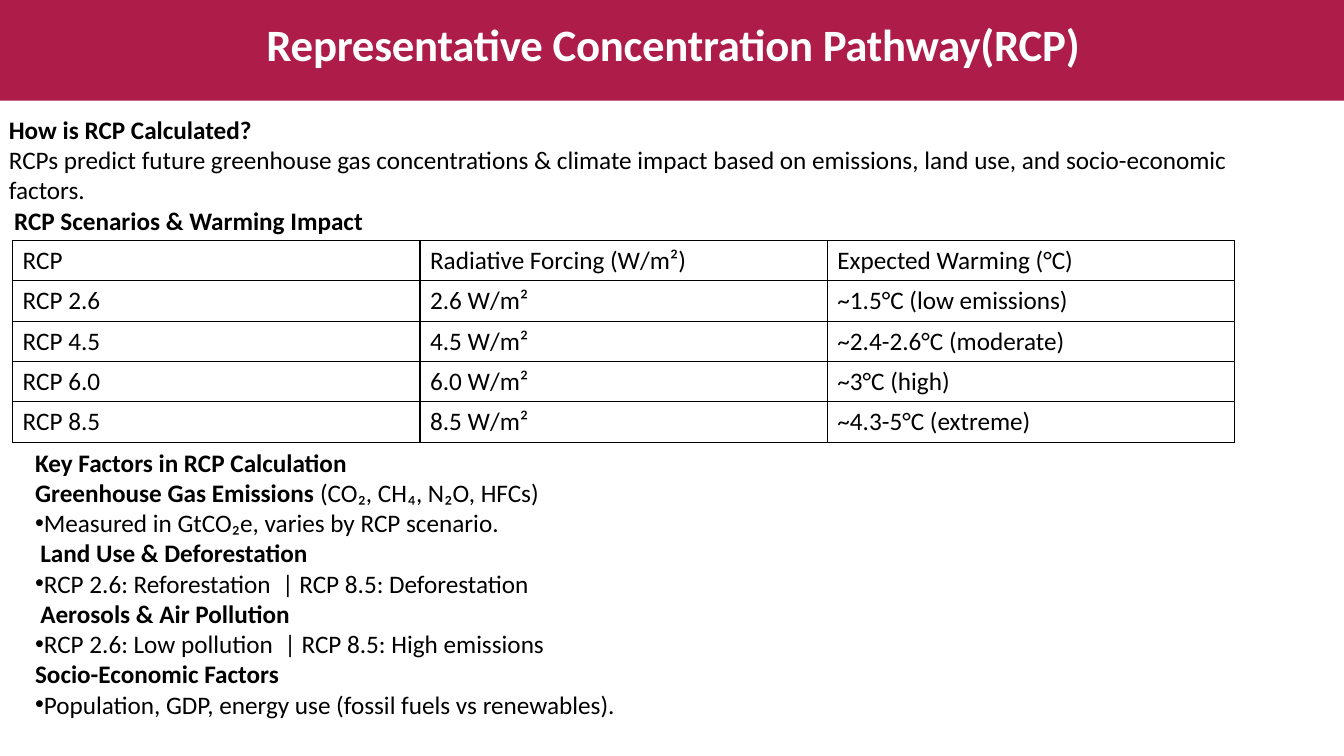
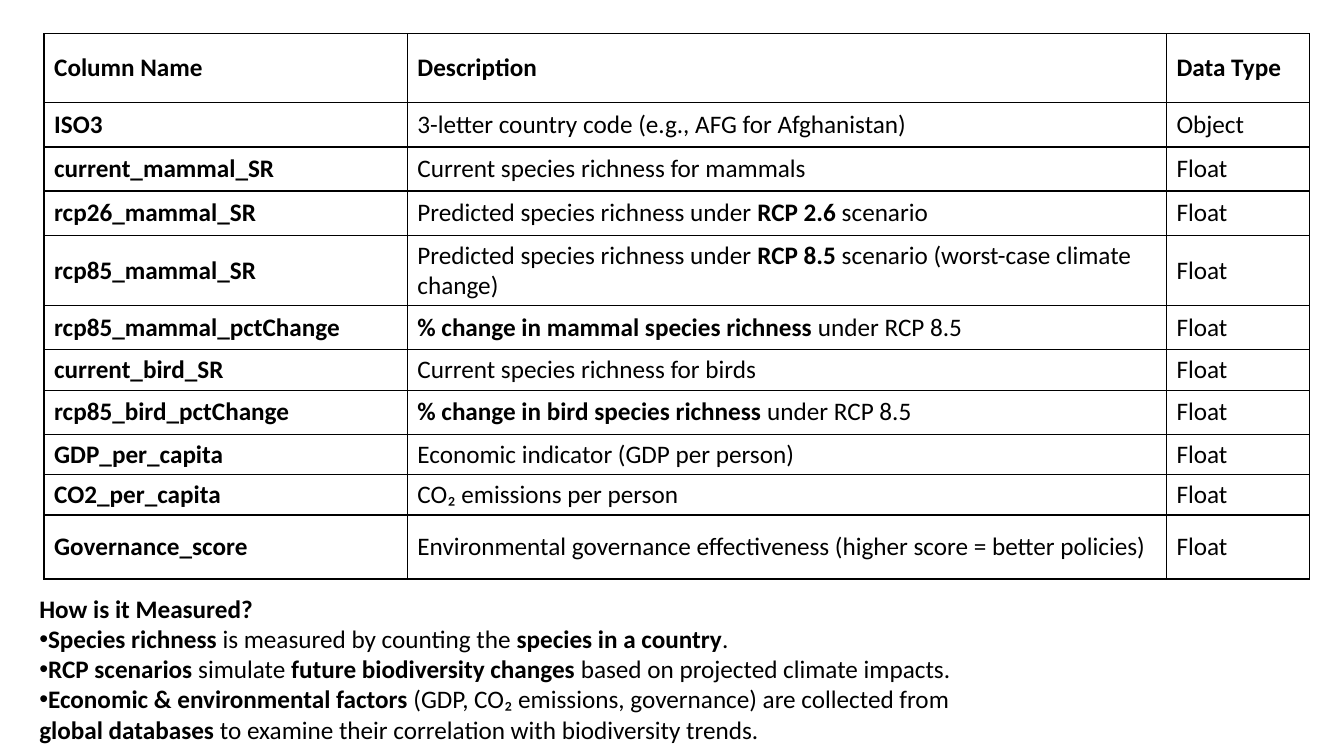
from lxml import etree
from pptx import Presentation
from pptx.dml.color import RGBColor
from pptx.enum import shapes, text
from pptx.oxml import ns
from pptx.util import Pt

PX = 9525
CRIMSON = RGBColor(0xAE, 0x1D, 0x49)
BLACK = RGBColor(0x00, 0x00, 0x00)
WHITE = RGBColor(0xFF, 0xFF, 0xFF)
FONT = "Calibri"
BULLET, INDENTED = "• ", "> "

INTRO = [
    "**How is RCP Calculated?**",
    "RCPs predict future greenhouse gas concentrations & climate impact based on "
    "emissions, land use, and socio-economic factors.",
    "> **RCP Scenarios & Warming Impact**",
]
SCENARIOS = [
    ("RCP", "Radiative Forcing (W/m²)", "Expected Warming (°C)"),
    ("RCP 2.6", "2.6 W/m²", "~1.5°C (low emissions)"),
    ("RCP 4.5", "4.5 W/m²", "~2.4-2.6°C (moderate)"),
    ("RCP 6.0", "6.0 W/m²", "~3°C (high)"),
    ("RCP 8.5", "8.5 W/m²", "~4.3-5°C (extreme)"),
]
KEY_FACTORS = [
    "**Key Factors in RCP Calculation**",
    "**Greenhouse Gas Emissions** (CO₂, CH₄, N₂O, HFCs)",
    "• Measured in GtCO₂e, varies by RCP scenario.",
    "> **Land Use & Deforestation**",
    "• RCP 2.6: Reforestation  | RCP 8.5: Deforestation",
    "> **Aerosols & Air Pollution**",
    "• RCP 2.6: Low pollution  | RCP 8.5: High emissions",
    "**Socio-Economic Factors**",
    "• Population, GDP, energy use (fossil fuels vs renewables).",
]
COLUMNS = [
    ("**Column Name**", "**Description**", "**Data Type**"),
    ("**ISO3**", "3-letter country code (e.g., AFG for Afghanistan)", "Object"),
    ("**current_mammal_SR**", "Current species richness for mammals", "Float"),
    ("**rcp26_mammal_SR**",
     "Predicted species richness under **RCP 2.6** scenario", "Float"),
    ("**rcp85_mammal_SR**",
     "Predicted species richness under **RCP 8.5** scenario (worst-case climate change)",
     "Float"),
    ("**rcp85_mammal_pctChange**",
     "**% change in mammal species richness** under RCP 8.5", "Float"),
    ("**current_bird_SR**", "Current species richness for birds", "Float"),
    ("**rcp85_bird_pctChange**",
     "**% change in bird species richness** under RCP 8.5", "Float"),
    ("**GDP_per_capita**", "Economic indicator (GDP per person)", "Float"),
    ("**CO2_per_capita**", "CO₂ emissions per person", "Float"),
    ("**Governance_score**",
     "Environmental governance effectiveness (higher score = better policies)", "Float"),
]
MEASUREMENT = [
    "**How is it Measured?**",
    "• **Species richness** is measured by counting the **species in a country**.",
    "• **RCP scenarios** simulate **future biodiversity changes** based on projected "
    "climate impacts.",
    "• **Economic & environmental factors** (GDP, CO₂ emissions, governance) are "
    "collected from **global databases** to examine their correlation with "
    "biodiversity trends.",
]


def px(*lengths):
    """Turn pixel lengths into EMU."""
    return [length * PX for length in lengths]


def set_layout(paragraph, indent, bullet):
    """Set the left indent and the bullet of a paragraph."""
    properties = paragraph._p.get_or_add_pPr()
    properties.set("marL", str(indent * PX))
    properties.set("indent", "0")
    if bullet:
        etree.SubElement(properties, ns.qn("a:buFont"), typeface="Arial")
        etree.SubElement(properties, ns.qn("a:buChar"), char="•")
    else:
        etree.SubElement(properties, ns.qn("a:buNone"))


def set_font(paragraph, size, color):
    """Set the font that all runs of a paragraph share."""
    paragraph.font.name = FONT
    paragraph.font.size = Pt(size)
    paragraph.font.color.rgb = color


def write(paragraph, markup):
    """Write one line of text, with bold parts between double asterisks."""
    bullet, indented = markup.startswith(BULLET), markup.startswith(INDENTED)
    set_layout(paragraph, 5 if indented else 0, bullet)
    set_font(paragraph, 18, BLACK)
    line = markup[2:] if bullet or indented else markup
    parts = [(part, i % 2 == 1) for i, part in enumerate(line.split("**")) if part]
    for part, bold in parts:
        run = paragraph.add_run()
        run.text = part
        if len(parts) > 1:
            run.font.bold = bold
    if len(parts) == 1:
        paragraph.font.bold = parts[0][1]


def add_lines(slide, box, lines):
    """Add a wrapped text box with one paragraph for each line."""
    frame = slide.shapes.add_textbox(*px(*box)).text_frame
    frame.word_wrap = True
    for i, line in enumerate(lines):
        write(frame.add_paragraph() if i else frame.paragraphs[0], line)


def add_title_band(slide, title):
    """Add the coloured band with its centred title."""
    band = slide.shapes.add_shape(shapes.MSO_SHAPE.RECTANGLE, *px(0, 0, 1280, 96))
    band.shadow.inherit = False
    band.fill.solid()
    band.fill.fore_color.rgb = CRIMSON
    band.line.fill.background()
    frame = slide.shapes.add_textbox(*px(167, 21, 948, 48)).text_frame
    frame.word_wrap = True
    frame.margin_left = frame.margin_right = frame.margin_bottom = 0
    frame.margin_top = PX
    heading = frame.paragraphs[0]
    heading.alignment = text.PP_ALIGN.CENTER
    heading.line_spacing = 0.9
    set_font(heading, 32, WHITE)
    heading.font.bold = True
    run = heading.add_run()
    run.text = title
    run._r.get_or_add_rPr().set("spc", "-20")


def add_borders(cell):
    """Draw a thin black line on every side of a cell."""
    properties = cell._tc.get_or_add_tcPr()
    for i, side in enumerate(("lnL", "lnR", "lnT", "lnB")):
        line = etree.Element(ns.qn(f"a:{side}"), w=str(Pt(1)))
        fill = etree.SubElement(line, ns.qn("a:solidFill"))
        etree.SubElement(fill, ns.qn("a:srgbClr"), val=str(BLACK))
        properties.insert(i, line)


def add_grid(slide, left, top, widths, heights, rows):
    """Add a plain ruled table."""
    frame = slide.shapes.add_table(
        len(rows), len(widths), *px(left, top, sum(widths), sum(heights)))
    table = frame.table
    table.first_row = table.horz_banding = False
    for column, width in zip(table.columns, widths):
        column.width = width * PX
    for row, height, entries in zip(table.rows, heights, rows):
        row.height = height * PX
        for cell, entry in zip(row.cells, entries):
            cell.vertical_anchor = text.MSO_ANCHOR.MIDDLE
            cell.fill.background()
            add_borders(cell)
            write(cell.text_frame.paragraphs[0], entry)


def add_pathway_slide(slide):
    """Explain the concentration pathways."""
    add_title_band(slide, "Representative Concentration Pathway(RCP)")
    add_lines(slide, (-1, 104, 1208, 126), INTRO)
    add_grid(slide, 12, 229, [388] * 3, [38] * len(SCENARIOS), SCENARIOS)
    add_lines(slide, (24, 421, 1068, 272), KEY_FACTORS)


def add_dataset_slide(slide):
    """Describe the columns of the data set."""
    heights = [66, 42, 42, 42, 67, 42, 38, 42, 38, 38, 61]
    add_grid(slide, 42, 32, [346, 723, 136], heights, COLUMNS)
    add_lines(slide, (28, 560, 943, 155), MEASUREMENT)


def main():
    """Build and save the presentation."""
    deck = Presentation()
    deck.slide_width, deck.slide_height = px(1280, 720)
    for build in (add_pathway_slide, add_dataset_slide):
        build(deck.slides.add_slide(deck.slide_layouts[6]))
    deck.save("out.pptx")


if __name__ == "__main__":
    main()
